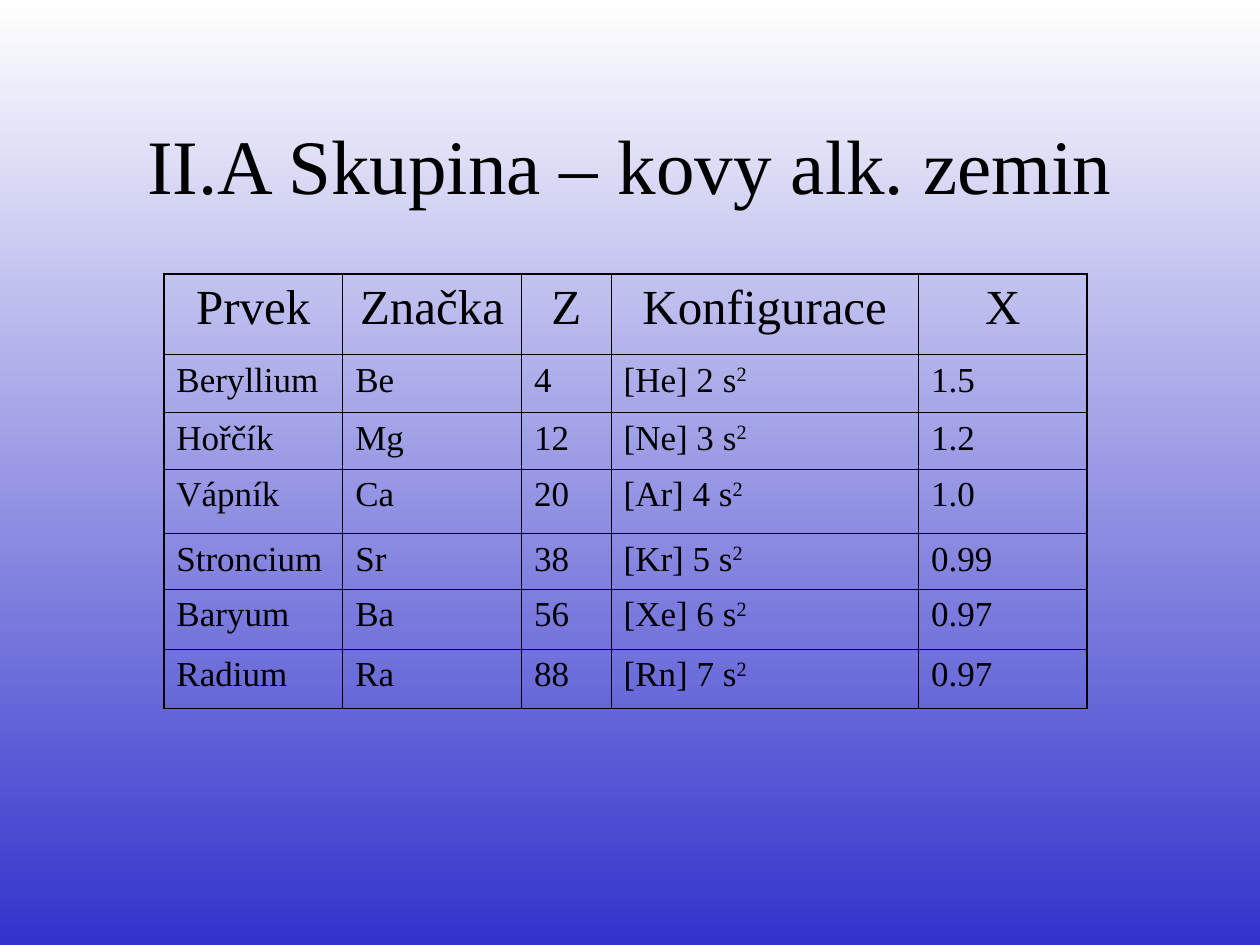
from lxml import etree
from pptx import Presentation
from pptx import util as u
from pptx.dml.color import RGBColor
from pptx.enum import text
from pptx.oxml.ns import qn

COLORS = {"ink": "000000", "sky": "FFFFFF", "deep": "3333CC"}
FONT = "Times New Roman"
WIDTH, HEIGHT = 10, 7.5
THIN, THICK = 0.45, 1.08

COLUMNS = [1.42, 1.42, 0.71, 2.44, 1.34]
ROWS = [0.64, 0.46, 0.45, 0.51, 0.44, 0.48, 0.47]
HEADER = ["Prvek", "Značka", "Z", "Konfigurace", "X"]
# "^" starts a superscript
ELEMENTS = [
    ["Beryllium", "Be", "4", "[He] 2 s^2", "1.5"],
    ["Hořčík", "Mg", "12", "[Ne] 3 s^2", "1.2"],
    ["Vápník", "Ca", "20", "[Ar] 4 s^2", "1.0"],
    ["Stroncium", "Sr", "38", "[Kr] 5 s^2", "0.99"],
    ["Baryum", "Ba", "56", "[Xe] 6 s^2", "0.97"],
    ["Radium", "Ra", "88", "[Rn] 7 s^2", "0.97"],
]

CENTER, LEFT = text.PP_ALIGN.CENTER, text.PP_ALIGN.LEFT
TITLE_FORMAT = {"alignment": CENTER}
HEAD_FORMAT = {"alignment": CENTER, "space_before": u.Pt(7)}
BODY_FORMAT = {"alignment": LEFT, "space_before": u.Pt(5)}


def rgb(name):
    return RGBColor.from_string(COLORS[name])


def apply(target, values):
    for name, value in values.items():
        setattr(target, name, value)


def write(tf, content, size, paragraph_format):
    p = tf.paragraphs[0]
    apply(p, paragraph_format)
    for i, part in enumerate(content.split("^")):
        r = p.add_run()
        r.text = part
        apply(r.font, {"name": FONT, "size": u.Pt(size)})
        r.font.color.rgb = rgb("ink")
        if i:
            r.font._element.set("baseline", "30000")


def set_background(s):
    fill = s.background.fill
    fill.gradient()
    fill.gradient_angle = 270
    for stop, name in zip(fill.gradient_stops, ("sky", "deep")):
        stop.color.rgb = rgb(name)


def add_title(s, content):
    left, top, width, height = 0.075 * WIDTH, 0.09 * HEIGHT, 0.85 * WIDTH, HEIGHT / 6
    sp = s.shapes.add_textbox(*map(u.Inches, (left, top, width, height)))
    apply(sp.text_frame, {"word_wrap": True,
                          "vertical_anchor": text.MSO_ANCHOR.MIDDLE})
    write(sp.text_frame, content, 44, TITLE_FORMAT)


def set_borders(cell, widths):
    tc_pr = cell._tc.get_or_add_tcPr()
    for side, width in widths.items():
        ln = etree.SubElement(tc_pr, qn(f"a:ln{side}"), w=str(u.Pt(width)))
        fill = etree.SubElement(ln, qn("a:solidFill"))
        etree.SubElement(fill, qn("a:srgbClr"), val=COLORS["ink"])


def add_table(s, data):
    frame = s.shapes.add_table(
        len(ROWS), len(COLUMNS), u.Inches(0.13 * WIDTH), u.Inches(0.29 * HEIGHT),
        u.Inches(sum(COLUMNS)), u.Inches(sum(ROWS)))
    table = frame.table
    apply(table, {"first_row": False, "horz_banding": False})
    for column, width in zip(table.columns, COLUMNS):
        column.width = u.Inches(width)
    for row, height in zip(table.rows, ROWS):
        row.height = u.Inches(height)

    last_row, last_col = len(ROWS) - 1, len(COLUMNS) - 1
    for i, values in enumerate(data):
        size, paragraph_format = (20, BODY_FORMAT) if i else (28, HEAD_FORMAT)
        for j, value in enumerate(values):
            cell = table.cell(i, j)
            write(cell.text_frame, value, size, paragraph_format)
            # Thick lines on the outer frame only
            outer = {"L": j == 0, "R": j == last_col,
                     "T": i == 0, "B": i == last_row}
            set_borders(cell, {side: THICK if edge else THIN
                               for side, edge in outer.items()})
            cell.fill.background()


def main():
    prs = Presentation()
    apply(prs, {"slide_width": u.Inches(WIDTH), "slide_height": u.Inches(HEIGHT)})
    s = prs.slides.add_slide(prs.slide_layouts[6])
    set_background(s)
    add_title(s, "II.A Skupina – kovy alk. zemin")
    add_table(s, [HEADER] + ELEMENTS)
    prs.save("out.pptx")


if __name__ == "__main__":
    main()
